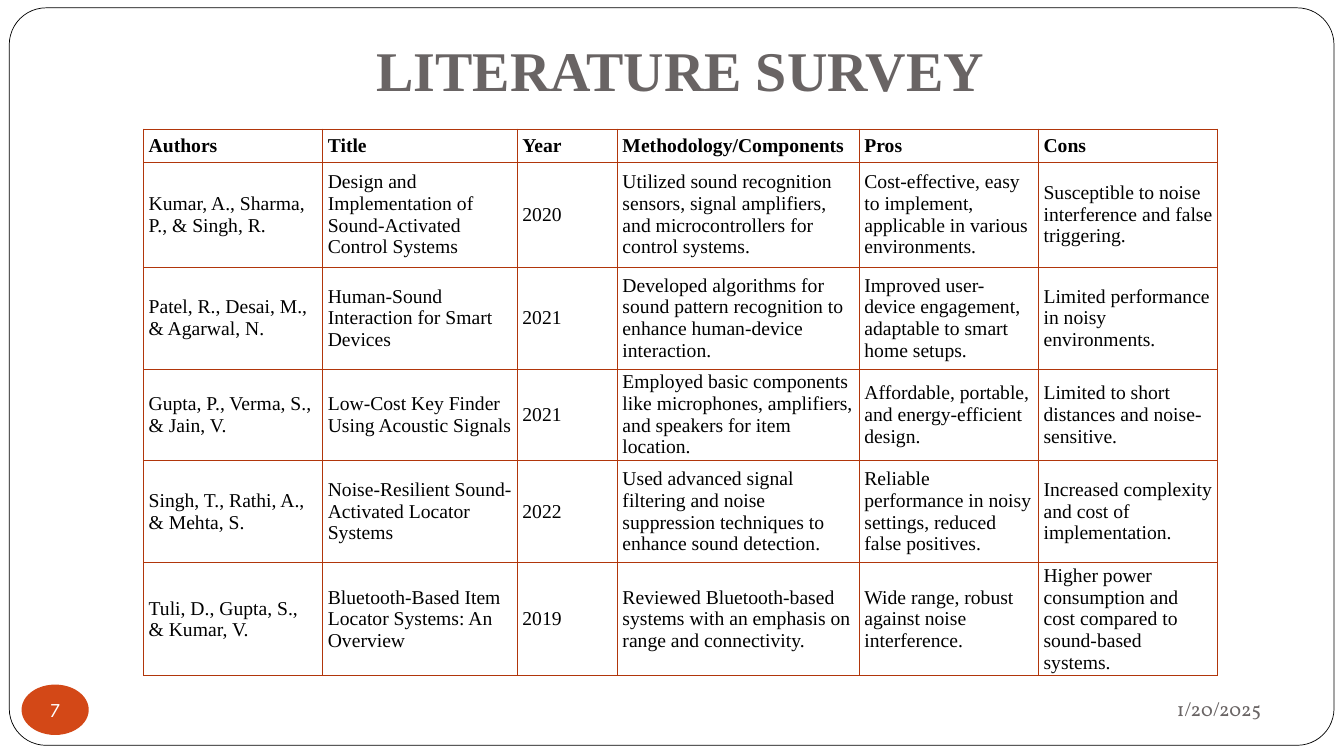
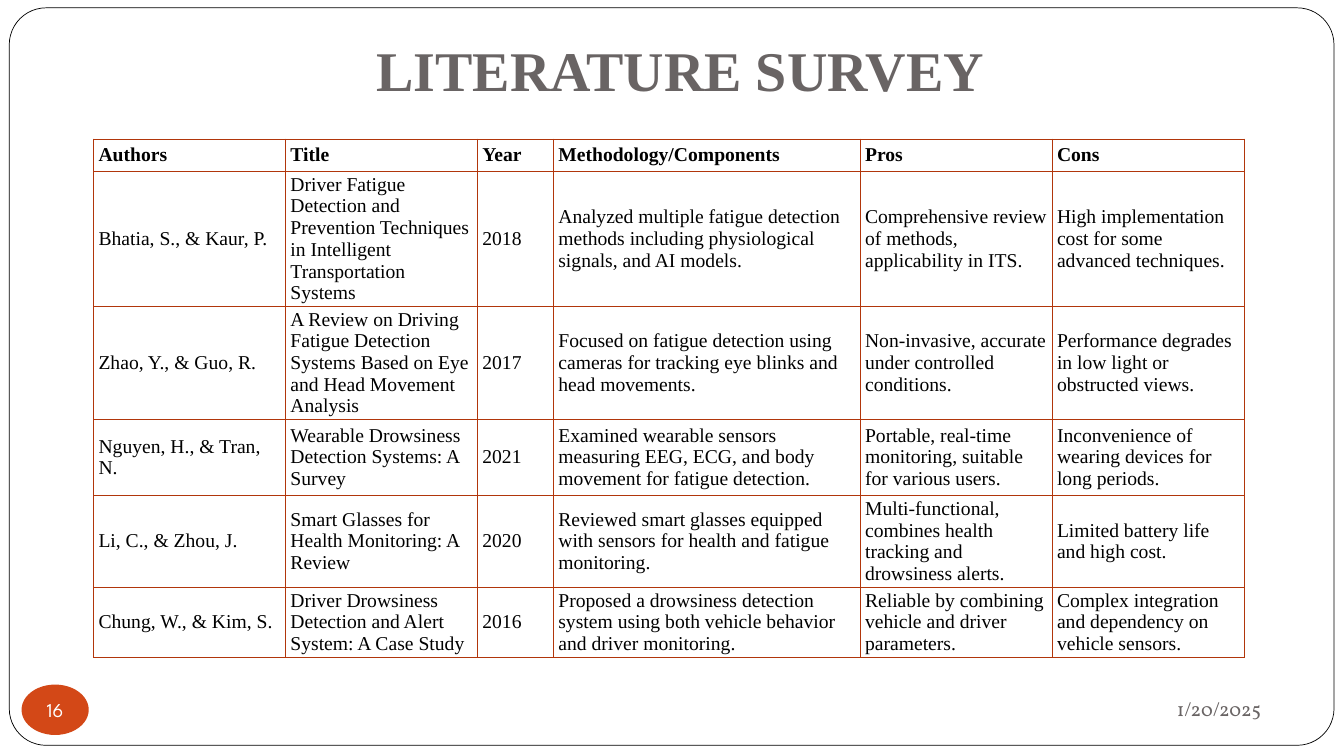
from lxml import etree
from pptx import Presentation
from pptx.dml.color import RGBColor
from pptx.enum.shapes import MSO_SHAPE
from pptx.enum.text import MSO_ANCHOR, MSO_AUTO_SIZE, PP_ALIGN
from pptx.oxml.ns import qn
from pptx.util import Pt

ROUND, OVAL = MSO_SHAPE.ROUNDED_RECTANGLE, MSO_SHAPE.OVAL
MIDDLE, BOTTOM = MSO_ANCHOR.MIDDLE, MSO_ANCHOR.BOTTOM
LEFT, CENTER, RIGHT = PP_ALIGN.LEFT, PP_ALIGN.CENTER, PP_ALIGN.RIGHT
FIXED = MSO_AUTO_SIZE.NONE

BLACK = RGBColor(0x00, 0x00, 0x00)
WHITE = RGBColor(0xFF, 0xFF, 0xFF)
GRAY = RGBColor(0x69, 0x64, 0x64)
ORANGE = RGBColor(0xD3, 0x48, 0x17)
RUST = RGBColor(0xB1, 0x36, 0x0B)

SERIF = "Times New Roman"
TITLE = {"name": SERIF, "size": Pt(40), "bold": True}
HEAD = {"name": SERIF, "size": Pt(14), "bold": True}
BODY = {**HEAD, "bold": False}
DATE = {"name": "Vollkorn", "size": Pt(14)}
BADGE = {"name": "League Spartan", "size": Pt(14)}
SIDES = ("left", "top", "right", "bottom")


def put(item, values):
    for key, value in values.items():
        setattr(item, key, value)


def inset(*sizes):
    """Margin values in the order left, top, right, bottom."""
    return {f"margin_{side}": Pt(size) for side, size in zip(SIDES, sizes)}


def box(*sizes):
    return [Pt(size) for size in sizes]


class Deck:
    """Holds the shared style and the current slide."""

    def __init__(self):
        self.file = Presentation()
        put(self.file, {"slide_width": Pt(960), "slide_height": Pt(540)})
        self.layout = self.file.slide_layouts.get_by_name("Title Only")
        self.slide = None

    def page(self, title, date, number):
        first = self.slide is None
        self.slide = self.file.slides.add_slide(self.layout)
        if first:
            self.frame()
        self.title(title)
        self.date(date)
        self.badge(number)

    def text(self, frame, words, style, color, align, pitch=None):
        frame.text = words
        para = frame.paragraphs[0]
        put(para, {"alignment": align, "line_spacing": pitch})
        font = para.runs[0].font
        put(font, style)
        font.color.rgb = color

    def frame(self):
        """Draws the outline and moves it to the layout all slides share."""
        shape = self.slide.shapes.add_shape(ROUND, *box(6.6, 5.6, 946.3, 526.8))
        shape.shadow.inherit = False
        shape.adjustments[0] = 0.05
        shape.fill.solid()
        shape.fill.fore_color.rgb = WHITE
        shape.line.color.rgb = BLACK
        shape.line.width = Pt(0.5)
        self.layout.shapes.element.append(shape.element)

    def title(self, words):
        shape = self.slide.shapes.title
        put(shape, dict(zip(("left", "top", "width", "height"),
                            box(78, 14.4, 816, 66))))
        put(shape.text_frame, {"auto_size": FIXED, "vertical_anchor": BOTTOM,
                               **inset(7.2, 3.6, 7.2, 7.2)})
        self.text(shape.text_frame, words, TITLE, GRAY, CENTER)

    def date(self, words):
        shape = self.slide.shapes.add_textbox(*box(648, 487.5, 260, 37.5))
        put(shape.text_frame, {"word_wrap": True, "vertical_anchor": MIDDLE})
        self.text(shape.text_frame, words, DATE, GRAY, RIGHT)

    def badge(self, number):
        shape = self.slide.shapes.add_shape(OVAL, *box(15.4, 489, 48, 36))
        shape.shadow.inherit = False
        shape.fill.solid()
        shape.fill.fore_color.rgb = ORANGE
        shape.line.fill.background()
        put(shape.text_frame, {"word_wrap": False, "vertical_anchor": MIDDLE,
                               **inset(0, 0, 0, 0)})
        self.text(shape.text_frame, str(number), BADGE, WHITE, CENTER)

    def table(self, left, top, widths, heights, rows):
        size = box(left, top, sum(widths), sum(heights))
        table = self.slide.shapes.add_table(
            len(rows), len(widths), *size).table
        put(table, {"first_row": False, "horz_banding": False})
        for col, width in zip(table.columns, widths):
            col.width = Pt(width)
        for line, height in zip(table.rows, heights):
            line.height = Pt(height)
        for r, row in enumerate(rows):
            for c, words in enumerate(row):
                self.cell(table.cell(r, c), words, BODY if r else HEAD)

    def cell(self, cell, words, style):
        put(cell, {"vertical_anchor": MIDDLE, **inset(3.5, 1.5, 3.5, 1.5)})
        self.text(cell.text_frame, words, style, BLACK, LEFT, Pt(15.5))
        self.edge(cell)
        cell.fill.background()

    def edge(self, cell):
        props = cell._tc.get_or_add_tcPr()
        for side in "LRTB":
            line = etree.SubElement(props, qn(f"a:ln{side}"), w=str(Pt(0.75)))
            fill = etree.SubElement(line, qn("a:solidFill"))
            etree.SubElement(fill, qn("a:srgbClr"), val=str(RUST))


FIELDS = ("Authors", "Title", "Year", "Methodology/Components", "Pros", "Cons")

SOUND = [
    ("Kumar, A., Sharma, P., & Singh, R.",
     "Design and Implementation of Sound-Activated Control Systems",
     "2020",
     "Utilized sound recognition sensors, signal amplifiers, and "
     "microcontrollers for control systems.",
     "Cost-effective, easy to implement, applicable in various environments.",
     "Susceptible to noise interference and false triggering."),
    ("Patel, R., Desai, M., & Agarwal, N.",
     "Human-Sound Interaction for Smart Devices",
     "2021",
     "Developed algorithms for sound pattern recognition to enhance "
     "human-device interaction.",
     "Improved user-device engagement, adaptable to smart home setups.",
     "Limited performance in noisy environments."),
    ("Gupta, P., Verma, S., & Jain, V.",
     "Low-Cost Key Finder Using Acoustic Signals",
     "2021",
     "Employed basic components like microphones, amplifiers, and speakers "
     "for item location.",
     "Affordable, portable, and energy-efficient design.",
     "Limited to short distances and noise-sensitive."),
    ("Singh, T., Rathi, A., & Mehta, S.",
     "Noise-Resilient Sound-Activated Locator Systems",
     "2022",
     "Used advanced signal filtering and noise suppression techniques to "
     "enhance sound detection.",
     "Reliable performance in noisy settings, reduced false positives.",
     "Increased complexity and cost of implementation."),
    ("Tuli, D., Gupta, S., & Kumar, V.",
     "Bluetooth-Based Item Locator Systems: An Overview",
     "2019",
     "Reviewed Bluetooth-based systems with an emphasis on range and "
     "connectivity.",
     "Wide range, robust against noise interference.",
     "Higher power consumption and cost compared to sound-based systems."),
]

DRIVER = [
    ("Bhatia, S., & Kaur, P.",
     "Driver Fatigue Detection and Prevention Techniques in Intelligent "
     "Transportation Systems",
     "2018",
     "Analyzed multiple fatigue detection methods including physiological "
     "signals, and AI models.",
     "Comprehensive review of methods, applicability in ITS.",
     "High implementation cost for some advanced techniques."),
    ("Zhao, Y., & Guo, R.",
     "A Review on Driving Fatigue Detection Systems Based on Eye and Head "
     "Movement Analysis",
     "2017",
     "Focused on fatigue detection using cameras for tracking eye blinks "
     "and head movements.",
     "Non-invasive, accurate under controlled conditions.",
     "Performance degrades in low light or obstructed views."),
    ("Nguyen, H., & Tran, N.",
     "Wearable Drowsiness Detection Systems: A Survey",
     "2021",
     "Examined wearable sensors measuring EEG, ECG, and body movement for "
     "fatigue detection.",
     "Portable, real-time monitoring, suitable for various users.",
     "Inconvenience of wearing devices for long periods."),
    ("Li, C., & Zhou, J.",
     "Smart Glasses for Health Monitoring: A Review",
     "2020",
     "Reviewed smart glasses equipped with sensors for health and fatigue "
     "monitoring.",
     "Multi-functional, combines health tracking and drowsiness alerts.",
     "Limited battery life and high cost."),
    ("Chung, W., & Kim, S.",
     "Driver Drowsiness Detection and Alert System: A Case Study",
     "2016",
     "Proposed a drowsiness detection system using both vehicle behavior "
     "and driver monitoring.",
     "Reliable by combining vehicle and driver parameters.",
     "Complex integration and dependency on vehicle sensors."),
]

# number, left, top, column widths, row heights, studies
PAGES = [
    (7, 102.7, 92.2, (128, 139, 71.5, 172.8, 128, 128),
     (23.6, 75, 73, 65, 73.3, 80.7), SOUND),
    (16, 66.9, 99.4, (137.1, 137.1, 54.3, 219.1, 137.1, 137.1),
     (23, 96.4, 80.7, 54.4, 65.6, 50), DRIVER),
]


def main():
    deck = Deck()
    for number, left, top, widths, heights, studies in PAGES:
        deck.page("LITERATURE SURVEY", "1/20/2025", number)
        deck.table(left, top, widths, heights, [FIELDS, *studies])
    deck.file.save("out.pptx")


if __name__ == "__main__":
    main()
